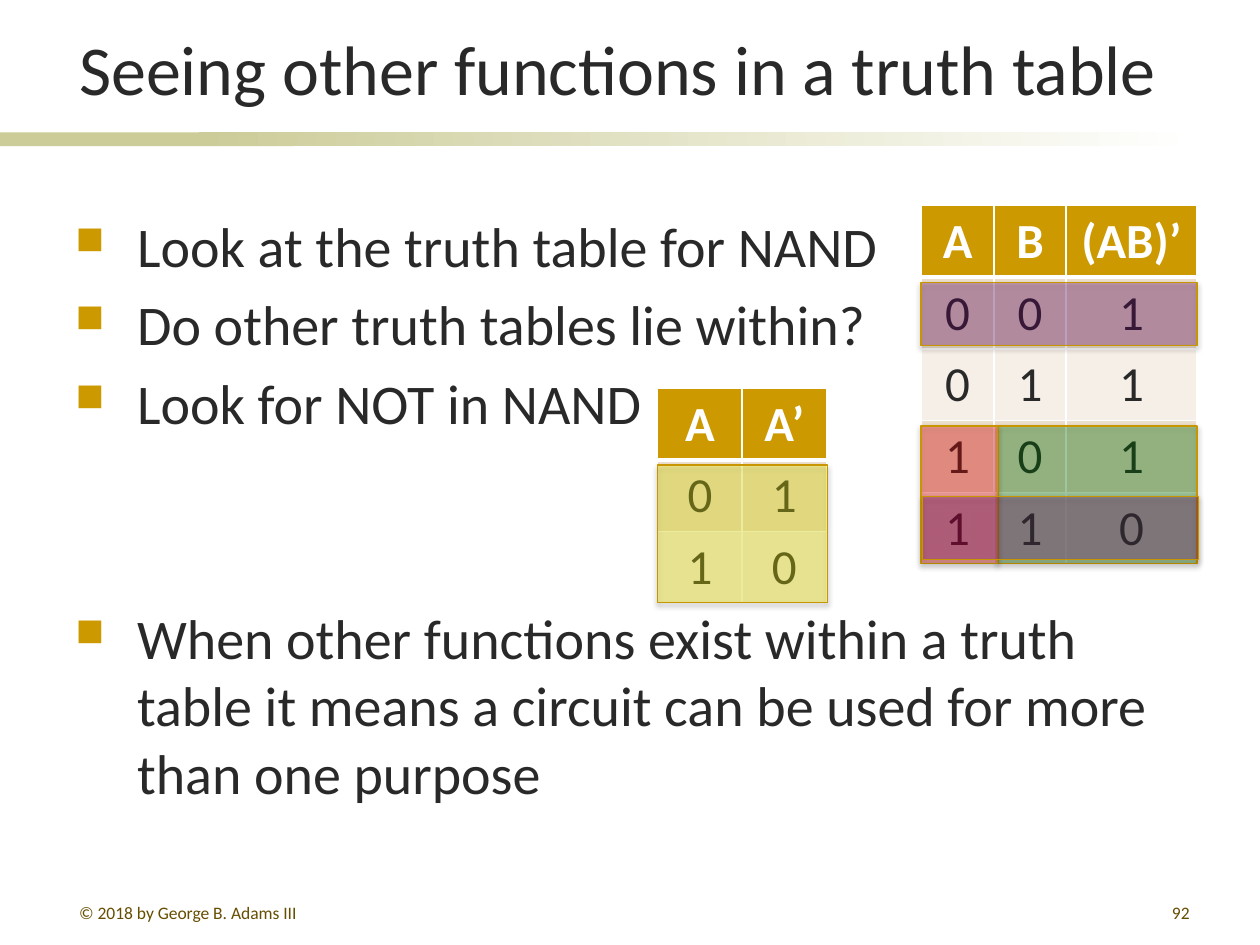
"""Build a slide about finding NOT inside the NAND truth table."""
from lxml.etree import SubElement
from pptx import Presentation
from pptx.dml.color import RGBColor
from pptx.enum.shapes import MSO_SHAPE
from pptx.enum.text import MSO_ANCHOR, PP_ALIGN
from pptx.oxml.ns import qn
from pptx.util import Inches, Pt

FONT = "Calibri"
INK = RGBColor(0x29, 0x29, 0x29)
WHITE = RGBColor(0xFF, 0xFF, 0xFF)
BLACK = RGBColor(0, 0, 0)
GOLD = RGBColor(0xCC, 0x99, 0x00)
OUTLINE = RGBColor(0xC8, 0x96, 0x00)
BROWN = RGBColor(0x66, 0x4D, 0x00)
KHAKI = RGBColor(0xCC, 0xCC, 0x99)
BANDS = (RGBColor(0xEC, 0xDE, 0xCC), RGBColor(0xF6, 0xEF, 0xE7))
YELLOW = RGBColor(0xFF, 0xFF, 0x00)
GREEN = RGBColor(0x00, 0x80, 0x00)
RED = RGBColor(0xFF, 0x00, 0x00)
PURPLE = RGBColor(0x66, 0x00, 0x66)

ROW_HEIGHT = 0.57
BULLETS = (
    ("Look at the truth table for NAND", 6.4),
    ("Do other truth tables lie within?", 6.4),
    ("Look for NOT in NAND", 6.4),
    ("When other functions exist within a truth table it means "
     "a circuit can be used for more than one purpose", 96),
)
NAND_ROWS = ("A", "B", "(AB)’"), "001", "011", "101", "110"
NOT_ROWS = ("A", "A’"), "01", "10"
HIGHLIGHTS = (
    (5.22, 3.69, 1.35, 1.09, YELLOW),
    (7.92, 3.38, 1.58, 1.09, GREEN),
    (7.31, 3.38, 0.61, 1.09, RED),
    (7.31, 2.24, 2.19, 0.5, PURPLE),
    (7.32, 3.94, 2.19, 0.5, PURPLE),
)


def write(para, text, size=32, color=INK, bold=False, align=PP_ALIGN.LEFT, before=0):
    """Put formatted text into a paragraph."""
    para.alignment = align
    para.space_before = Pt(before)
    span = para.add_run()
    span.text = text
    span.font.name = FONT
    span.font.size = Pt(size)
    span.font.bold = bold
    span.font.color.rgb = color


def add_text_frame(page, left, top, width, height, anchor=MSO_ANCHOR.TOP):
    """Add a wrapping text box and return its frame."""
    box = page.shapes.add_textbox(Inches(left), Inches(top), Inches(width), Inches(height))
    frame = box.text_frame
    frame.word_wrap = True
    frame.vertical_anchor = anchor
    return frame


def add_rectangle(page, left, top, width, height):
    """Add a rectangle without shadow or line."""
    shape = page.shapes.add_shape(
        MSO_SHAPE.RECTANGLE, Inches(left), Inches(top), Inches(width), Inches(height))
    shape.shadow.inherit = False
    shape.line.fill.background()
    return shape


def add_title_rule(page):
    """Add the solid and fading bars below the title."""
    solid = add_rectangle(page, 0, 1.05, 2.33, 0.11)
    solid.fill.solid()
    solid.fill.fore_color.rgb = KHAKI
    fading = add_rectangle(page, 1.58, 1.05, 7.92, 0.11)
    fading.fill.gradient()
    fading.fill.gradient_angle = 0
    for stop, color, position in zip(fading.fill.gradient_stops, (KHAKI, WHITE), (0, 1)):
        stop.color.rgb = color
        stop.position = position


def add_color(parent, color, opacity):
    """Append a translucent colour element."""
    element = SubElement(parent, qn("a:srgbClr"), val=str(color))
    SubElement(element, qn("a:alpha"), val=str(opacity * 1000))


def add_highlight(page, left, top, width, height, color):
    """Add a translucent outlined rectangle with a soft shadow."""
    shape = add_rectangle(page, left, top, width, height)
    shape.fill.solid()
    shape.fill.fore_color.rgb = color
    shape.line.color.rgb = OUTLINE
    shape.line.width = Pt(0.75)
    properties = shape._element.spPr
    fill = properties.find(qn("a:solidFill"))
    fill.remove(fill[0])
    add_color(fill, color, 30)
    shadow = SubElement(
        properties.find(qn("a:effectLst")), qn("a:outerShdw"),
        blurRad=str(Pt(3.1)), dist=str(Pt(1.8)), dir="5400000", rotWithShape="0")
    add_color(shadow, BLACK, 35)


def add_bullet(para):
    """Give a paragraph a hanging gold square."""
    properties = para._p.get_or_add_pPr()
    properties.set("marL", str(Inches(0.49)))
    properties.set("indent", str(Inches(-0.49)))
    color = SubElement(properties, qn("a:buClr"))
    SubElement(color, qn("a:srgbClr"), val=str(GOLD))
    SubElement(properties, qn("a:buSzPct"), val="70000")
    SubElement(properties, qn("a:buChar"), char="■")


def add_borders(cell, top, bottom):
    """Draw white cell borders."""
    properties = cell._tc.get_or_add_tcPr()
    for side, width in (("L", 1), ("R", 1), ("T", top), ("B", bottom)):
        line = SubElement(properties, qn(f"a:ln{side}"), w=str(Pt(width)))
        fill = SubElement(line, qn("a:solidFill"))
        SubElement(fill, qn("a:srgbClr"), val=str(WHITE))


def add_truth_table(page, left, top, widths, rows):
    """Add a truth table with a gold header and banded rows."""
    table = page.shapes.add_table(
        len(rows), len(widths), Inches(left), Inches(top),
        Inches(sum(widths)), Inches(ROW_HEIGHT * len(rows))).table
    for column, width in zip(table.columns, widths):
        column.width = Inches(width)
    for row_index, values in enumerate(rows):
        header = row_index == 0
        for column_index, value in enumerate(values):
            cell = table.cell(row_index, column_index)
            add_borders(cell, 3 if row_index == 1 else 1, 3 if header else 1)
            cell.fill.solid()
            cell.fill.fore_color.rgb = GOLD if header else BANDS[(row_index - 1) % 2]
            write(cell.text_frame.paragraphs[0], value, size=28, bold=header,
                  color=WHITE if header else INK, align=PP_ALIGN.CENTER)


def add_bullets(page):
    """Add the bulleted body text."""
    frame = add_text_frame(page, 0.5, 1.63, 9, 5.07)
    for index, (text, before) in enumerate(BULLETS):
        para = frame.add_paragraph() if index else frame.paragraphs[0]
        write(para, text, before=before)
        add_bullet(para)


def main():
    """Build and save the deck."""
    deck = Presentation()
    deck.slide_width, deck.slide_height = Inches(10), Inches(7.5)
    page = deck.slides.add_slide(deck.slide_layouts[6])
    add_title_rule(page)
    title = add_text_frame(page, 0.53, 0.11, 9.01, 0.81, anchor=MSO_ANCHOR.BOTTOM)
    write(title.paragraphs[0], "Seeing other functions in a truth table", size=40)
    add_bullets(page)
    add_truth_table(page, 7.31, 1.63, (0.58, 0.57, 1.04), NAND_ROWS)
    add_truth_table(page, 5.22, 3.08, (0.67, 0.67), NOT_ROWS)
    for highlight in HIGHLIGHTS:
        add_highlight(page, *highlight)
    for left, width, text, align in (
            (0.53, 2.17, "© 2018 by George B. Adams III", PP_ALIGN.LEFT),
            (7.46, 2.08, "92", PP_ALIGN.RIGHT)):
        footer = add_text_frame(page, left, 7.11, width, 0.21)
        write(footer.paragraphs[0], text, size=10, color=BROWN, align=align)
    deck.save("out.pptx")


main()
